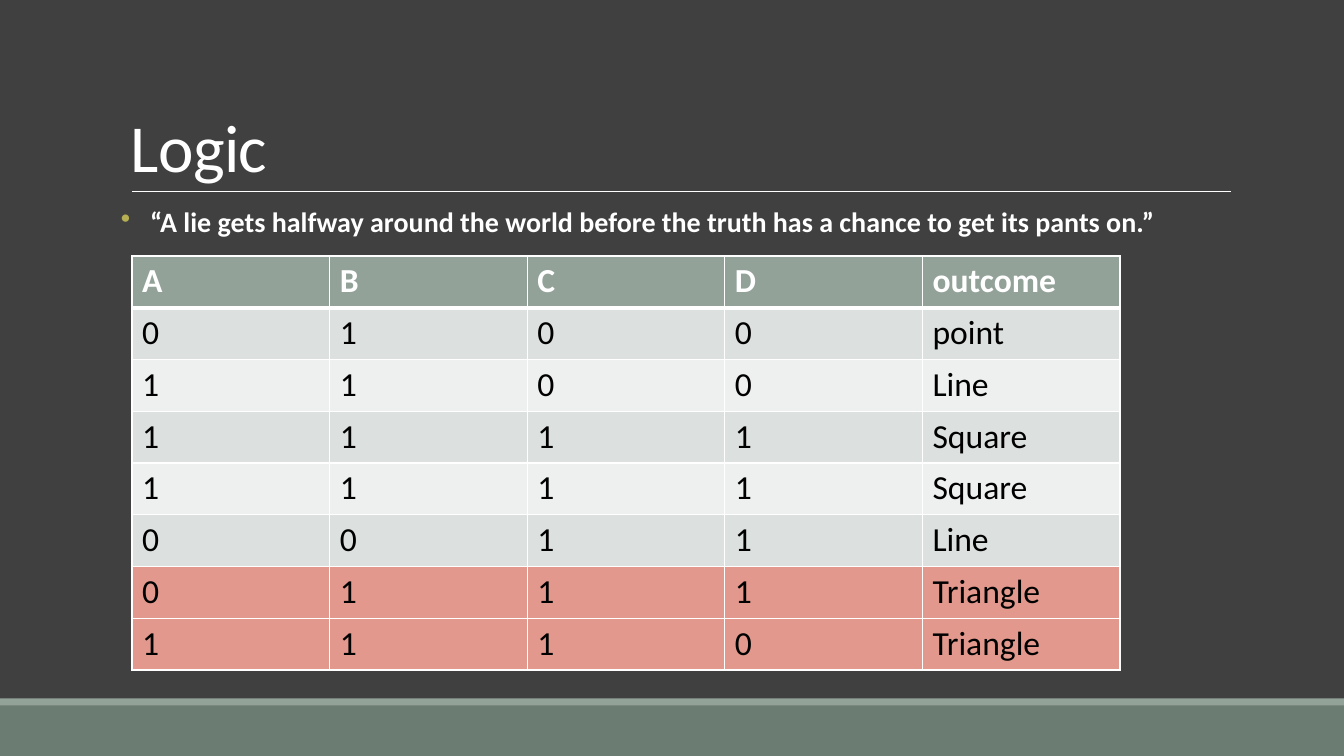
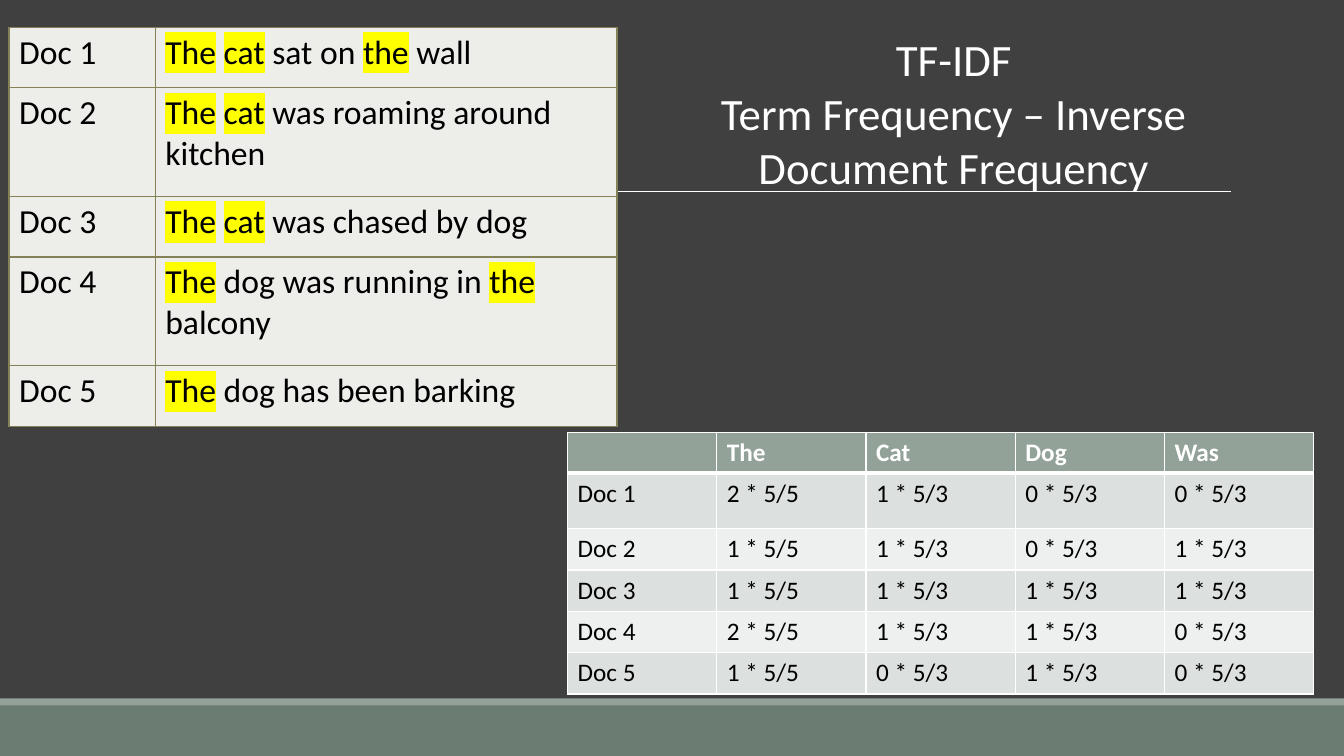
from pptx import Presentation
from pptx.dml.color import RGBColor
from pptx.enum.shapes import MSO_CONNECTOR, MSO_SHAPE
from pptx.enum.text import MSO_ANCHOR, PP_ALIGN
from pptx.oxml.ns import qn
from pptx.util import Pt
from lxml.etree import SubElement

PX = 9144
FONT = "Calibri"
WHITE, BLACK = "FFFFFF", "000000"
BACKGROUND, BAND, STRIPE = "404040", "6B7D72", "93A299"
BULLET, MARKER = "B5AE53", "FFFF00"
HEADER, ODD, EVEN, ALERT = STRIPE, "DCE0DE", "EEF0EF", "E2988C"
PAPER, PAPER_EDGE = "EDEDEA", "848058"

BANDS = [((0, 700, 1333, 50), BAND), ((0, 693, 1333, 7), STRIPE)]
RULE = (131, 190, 1221, 190)

LOGIC_TITLE = ["Logic"]
QUOTE = ["“A lie gets halfway around the world before the truth has a chance to get its pants on.”"]
LOGIC_ROWS = [
    ("A", "B", "C", "D", "outcome"),
    ("0", "1", "0", "0", "point"),
    ("1", "1", "0", "0", "Line"),
    ("1", "1", "1", "1", "Square"),
    ("1", "1", "1", "1", "Square"),
    ("0", "0", "1", "1", "Line"),
    ("0", "1", "1", "1", "Triangle"),
    ("1", "1", "1", "0", "Triangle"),
]

TFIDF_TITLE = ["TF-IDF", "Term Frequency – Inverse Document Frequency"]
DOCUMENT_ROWS = [
    ("Doc 1", "|The| |cat| sat on |the| wall"),
    ("Doc 2", "|The| |cat| was roaming around kitchen"),
    ("Doc 3", "|The| |cat| was chased by dog"),
    ("Doc 4", "|The| dog was running in |the| balcony"),
    ("Doc 5", "|The| dog has been barking"),
]
SCORE_ROWS = [
    ("", "The", "Cat", "Dog", "Was"),
    ("Doc 1", "2 * 5/5", "1 * 5/3", "0 * 5/3", "0 * 5/3"),
    ("Doc 2", "1 * 5/5", "1 * 5/3", "0 * 5/3", "1 * 5/3"),
    ("Doc 3", "1 * 5/5", "1 * 5/3", "1 * 5/3", "1 * 5/3"),
    ("Doc 4", "2 * 5/5", "1 * 5/3", "1 * 5/3", "0 * 5/3"),
    ("Doc 5", "1 * 5/5", "0 * 5/3", "1 * 5/3", "0 * 5/3"),
]


def emu(*lengths):
    return [round(length * PX) for length in lengths]


def paint(fill, color):
    fill.solid()
    fill.fore_color.rgb = RGBColor.from_string(color)


def style(para, size, color, bold=False):
    font = para.font
    font.name, font.size, font.bold = FONT, Pt(size), bold
    font.color.rgb = RGBColor.from_string(color)


def new_page(deck):
    page = deck.slides.add_slide(deck.slide_layouts[6])
    paint(page.background.fill, BACKGROUND)
    for place, color in BANDS:
        band = page.shapes.add_shape(MSO_SHAPE.RECTANGLE, *emu(*place))
        band.shadow.inherit = False
        paint(band.fill, color)
        band.line.fill.background()
    rule = page.shapes.add_connector(MSO_CONNECTOR.STRAIGHT, *emu(*RULE))
    rule.line.width = Pt(0.5)
    rule.line.color.rgb = RGBColor.from_string(WHITE)
    SubElement(rule._element.spPr, qn("a:effectLst"))
    return page


def add_text(page, place, lines, size, bold=False, align=PP_ALIGN.LEFT,
             anchor=MSO_ANCHOR.TOP, spacing=1.0):
    frame = page.shapes.add_textbox(*emu(*place)).text_frame
    frame.word_wrap = True
    frame.vertical_anchor = anchor
    frame.text = "\n".join(lines)
    for para in frame.paragraphs:
        para.alignment, para.line_spacing = align, spacing
        style(para, size, WHITE, bold)
    return frame


def add_bullet(para, indent):
    props = para._p.get_or_add_pPr()
    props.set("marL", str(indent * PX))
    props.set("indent", str(-indent * PX))
    color = SubElement(props, qn("a:buClr"))
    SubElement(color, qn("a:srgbClr"), val=BULLET)
    char = SubElement(props, qn("a:buChar"), char="•")
    font = props.find(qn("a:defRPr"))
    font.addprevious(color)
    font.addprevious(char)


def add_borders(cell, color, widths):
    props = cell._tc.get_or_add_tcPr()
    for side, width in zip("LRTB", widths):
        line = SubElement(props, qn(f"a:ln{side}"), w=str(Pt(width)))
        SubElement(SubElement(line, qn("a:solidFill")), qn("a:srgbClr"), val=color)


def write_marked(para, text):
    for index, part in enumerate(text.split("|")):
        if part:
            span = para.add_run()
            span.text = part
            if index % 2:
                mark = SubElement(span._r.get_or_add_rPr(), qn("a:highlight"))
                SubElement(mark, qn("a:srgbClr"), val=MARKER)


def add_grid(page, left, top, widths, heights, rows, fills, size, edge, header=True):
    place = emu(left, top, sum(widths), sum(heights))
    table = page.shapes.add_table(len(rows), len(widths), *place).table
    table.first_row = table.horz_banding = False
    for column, width in zip(table.columns, emu(*widths)):
        column.width = width
    for row, height in zip(table.rows, emu(*heights)):
        row.height = height
    for r, texts in enumerate(rows):
        heading = header and r == 0
        above = 3 if header and r == 1 else 1
        below = 3 if heading else 1
        for c, text in enumerate(texts):
            cell = table.cell(r, c)
            add_borders(cell, edge, (1, 1, above, below))
            paint(cell.fill, fills[r])
            para = cell.text_frame.paragraphs[0]
            write_marked(para, text)
            style(para, size, WHITE if heading else BLACK, heading)


def build_logic(deck):
    page = new_page(deck)
    title = add_text(page, (120, 31, 1100, 159), LOGIC_TITLE, 48,
                     anchor=MSO_ANCHOR.BOTTOM, spacing=0.85)
    title.paragraphs[0].runs[0]._r.get_or_add_rPr().set("spc", "-50")
    quote = add_text(page, (120, 202, 1100, 440), QUOTE, 20, bold=True, spacing=0.9)
    quote.margin_left = quote.margin_right = 0
    add_bullet(quote.paragraphs[0], 29)
    fills = [HEADER, ODD, EVEN, ODD, EVEN, ODD, ALERT, ALERT]
    add_grid(page, 131, 254, [196] * 5, [411 / 8] * 8, LOGIC_ROWS, fills, 24, WHITE)


def build_tfidf(deck):
    page = new_page(deck)
    add_grid(page, 9, 27, [145, 458], [60, 108, 60, 108, 60], DOCUMENT_ROWS,
             [PAPER] * 5, 24, PAPER_EDGE, header=False)
    fills = [HEADER, ODD, EVEN, ODD, EVEN, ODD]
    add_grid(page, 563, 429, [148] * 5, [40, 55] + [41] * 4, SCORE_ROWS, fills, 18, WHITE)
    add_text(page, (621, 27, 650, 172), TFIDF_TITLE, 32, align=PP_ALIGN.CENTER)


def main():
    deck = Presentation()
    deck.slide_width, deck.slide_height = emu(1333, 750)
    build_logic(deck)
    build_tfidf(deck)
    deck.save("out.pptx")


if __name__ == "__main__":
    main()
